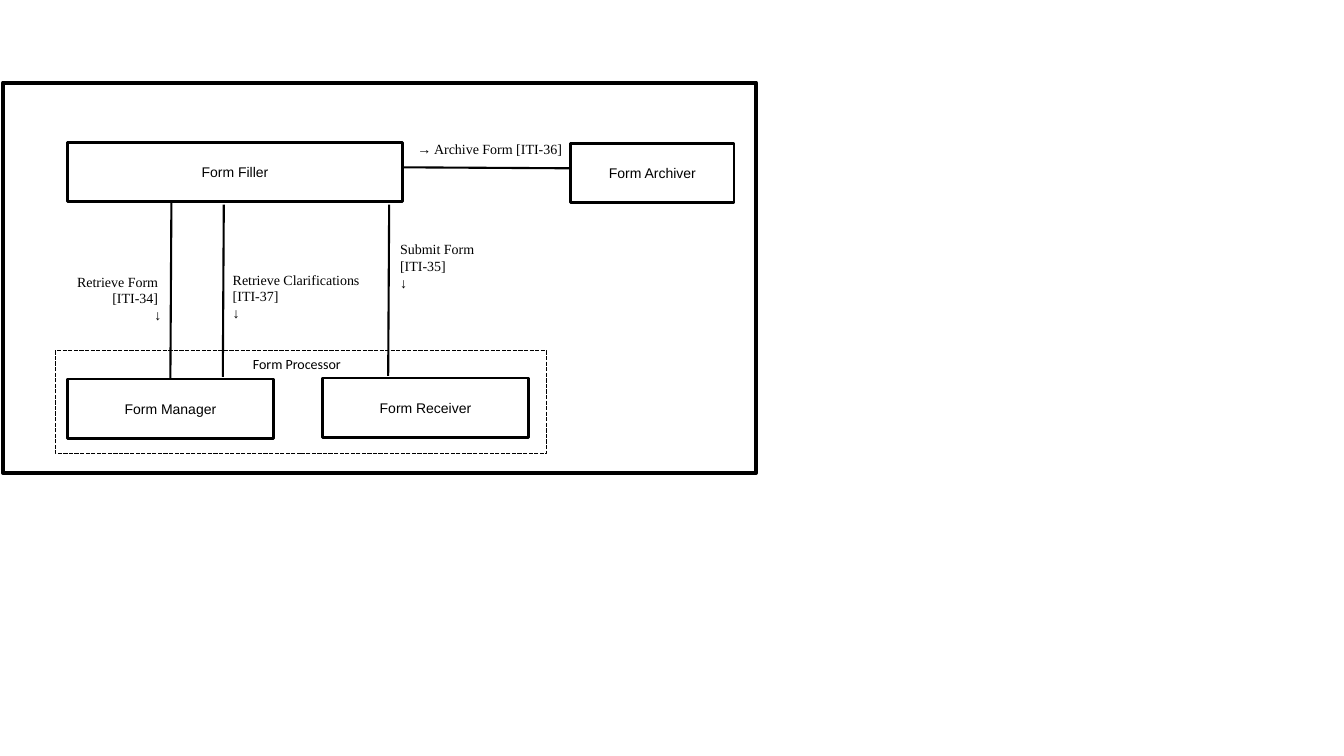
from lxml import etree
from pptx import Presentation
from pptx.dml.color import RGBColor
from pptx.enum.dml import MSO_LINE
from pptx.enum.shapes import MSO_CONNECTOR, MSO_SHAPE
from pptx.enum.text import MSO_ANCHOR, PP_ALIGN
from pptx.oxml.ns import qn
from pptx.util import Inches, Pt

THEME = {
    "ink": RGBColor(0, 0, 0),
    "paper": RGBColor(255, 255, 255),
    "size": Pt(10),
    "actor_font": "Arial",
    "message_font": "Times New Roman",
    "group_font": "Calibri",
}

prs = Presentation()
prs.slide_width = Inches(13.33)
prs.slide_height = Inches(7.5)
s = prs.slides.add_slide(prs.slide_layouts[6])


def add_box(x, y, w, h, weight, filled=False):
    sp = s.shapes.add_shape(
        MSO_SHAPE.RECTANGLE, Inches(x), Inches(y), Inches(w), Inches(h)
    )
    sp.shadow.inherit = False
    if filled:
        sp.fill.solid()
        sp.fill.fore_color.rgb = THEME["paper"]
    else:
        sp.fill.background()
    sp.line.color.rgb = THEME["ink"]
    sp.line.width = Pt(weight)
    return sp


def write_lines(tf, lines, font, align):
    for i, line in enumerate(lines):
        p = tf.paragraphs[0] if i == 0 else tf.add_paragraph()
        p.alignment = align
        r = p.add_run()
        r.text = line
        r.font.name = font
        r.font.size = THEME["size"]
        r.font.color.rgb = THEME["ink"]


add_box(0.03, 0.82, 7.47, 3.87, 3)

links = [
    (3.86, 2.03, 3.85, 3.73),
    (3.99, 1.66, 5.68, 1.67),
    (1.7, 2.01, 1.69, 3.75),
    (2.22, 2.03, 2.21, 3.74),
]
for x1, y1, x2, y2 in links:
    link = s.shapes.add_connector(
        MSO_CONNECTOR.STRAIGHT, Inches(x1), Inches(y1), Inches(x2), Inches(y2)
    )
    link.line.color.rgb = THEME["ink"]
    link.line.width = Pt(1.5)
    etree.SubElement(link._element.spPr, qn("a:effectLst"))

actors = [
    ("Form Manager", 0.67, 3.76, 2.04),
    ("Form Receiver", 3.2, 3.75, 2.04),
    ("Form Archiver", 5.66, 1.42, 1.62),
    ("Form Filler", 0.67, 1.41, 3.32),
]
for name, x, y, w in actors:
    sp = add_box(x, y, w, 0.59, 2, filled=True)
    sp.text_frame.vertical_anchor = MSO_ANCHOR.MIDDLE
    write_lines(sp.text_frame, [name], THEME["actor_font"], PP_ALIGN.CENTER)

processor = add_box(0.55, 3.48, 4.87, 1.02, 1)
processor.line.dash_style = MSO_LINE.SQUARE_DOT

message, group = THEME["message_font"], THEME["group_font"]
left, right = PP_ALIGN.LEFT, PP_ALIGN.RIGHT
labels = [
    (["Retrieve Form ", "[ITI-34] ", "↓"], 0.3, 2.66, 1.4, 0.84, 0.1, message, right),
    (["Retrieve Clarifications", "[ITI-37]", "↓"], 2.21, 2.64, 2.35, 0.89, 0.1, message, left),
    (["Submit Form", "[ITI-35]", "↓"], 3.87, 2.34, 2.3, 0.84, 0.1, message, left),
    (["→ Archive Form [ITI-36]"], 4.14, 1.39, 1.63, 0.25, 0, message, left),
    (["Form Processor"], 2.41, 3.48, 1.09, 0.27, 0.1, group, left),
]
for lines, x, y, w, h, inset, font, align in labels:
    tb = s.shapes.add_textbox(Inches(x), Inches(y), Inches(w), Inches(h))
    tf = tb.text_frame
    tf.word_wrap = font == message
    tf.margin_left = tf.margin_right = Inches(inset)
    tf.margin_top = tf.margin_bottom = Inches(inset / 2)
    write_lines(tf, lines, font, align)

prs.save("out.pptx")
